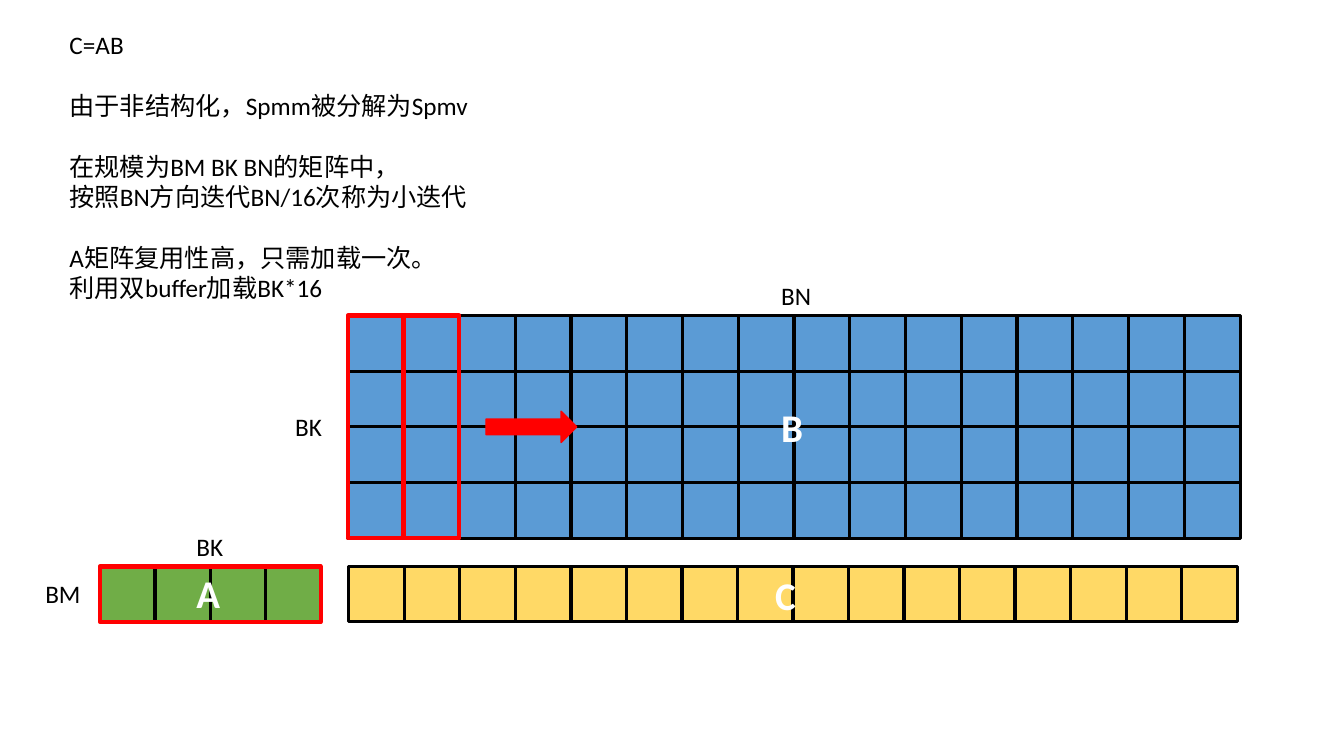
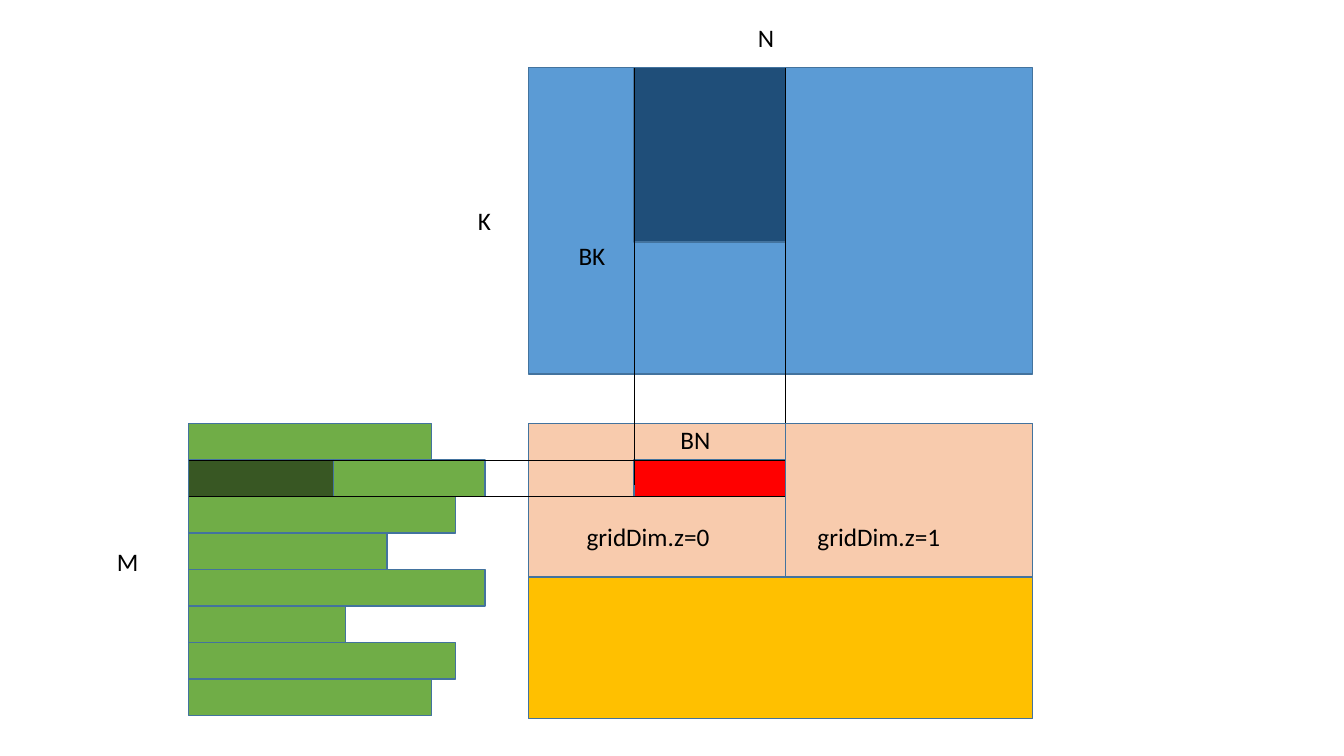
from dataclasses import dataclass
from typing import NamedTuple, Optional

import pptx
import pptx.dml.color
import pptx.enum.shapes
import pptx.oxml.ns
import pptx.presentation
import pptx.slide
import pptx.util
from lxml import etree

SHAPE = pptx.enum.shapes.MSO_SHAPE


@dataclass(frozen=True)
class Theme:
    font: str = "Calibri"
    body_size: float = 18
    name_size: float = 28
    black: str = "000000"
    white: str = "FFFFFF"
    red: str = "FF0000"
    green: str = "70AD47"
    dark_green: str = "385723"
    blue: str = "5B9BD5"
    dark_blue: str = "1F4E79"
    yellow: str = "FFD966"
    amber: str = "FFC000"
    peach: str = "F8CBAD"
    edge: str = "43739E"
    thin: float = 0.5
    normal: float = 1
    cell_line: float = 2.25
    frame_line: float = 3
    blank_line: float = 22


THEME = Theme()


class Box(NamedTuple):
    left: float
    top: float
    width: float
    height: float

    @property
    def right(self) -> float:
        return self.left + self.width

    @property
    def bottom(self) -> float:
        return self.top + self.height


@dataclass(frozen=True)
class Grid:
    """An area in inches, divided into equal columns and rows."""
    area: Box
    columns: int = 1
    rows: int = 1

    def span(self, column: float, row: float,
             columns: float = 1, rows: float = 1) -> Box:
        step_x = self.area.width / self.columns
        step_y = self.area.height / self.rows
        return Box(self.area.left + column * step_x, self.area.top + row * step_y,
                   columns * step_x, rows * step_y)


class Label(NamedTuple):
    """Text placed by percent of the slide's size."""
    text: str
    left: float
    top: float
    width: float
    is_name: bool = False


class Line(NamedTuple):
    text: str
    starts_block: bool = False


class Matrix(NamedTuple):
    grid: Grid
    fill: str


PAGE = Grid(Box(0, 0, 13.33, 7.5), 100, 100)


# Drawing helpers

def colour(value: str) -> pptx.dml.color.RGBColor:
    return pptx.dml.color.RGBColor.from_string(value)


def inches(*values: float) -> list[pptx.util.Length]:
    return [pptx.util.Inches(value) for value in values]


def draw_shape(shapes, box: Box, fill: Optional[str], line: str = THEME.edge,
               width: float = THEME.normal, kind: SHAPE = SHAPE.RECTANGLE) -> None:
    shape = shapes.add_shape(kind, *inches(*box))
    shape.shadow.inherit = False
    if fill is None:
        shape.fill.background()
    else:
        shape.fill.solid()
        shape.fill.fore_color.rgb = colour(fill)
    shape.line.color.rgb = colour(line)
    shape.line.width = pptx.util.Pt(width)


def draw_text(page: pptx.slide.Slide, box: Box, lines: list[Line],
              is_name: bool = False) -> None:
    frame = page.shapes.add_textbox(*inches(*box)).text_frame
    frame.word_wrap = True
    for index, line in enumerate(lines):
        para = frame.paragraphs[0] if index == 0 else frame.add_paragraph()
        para.text = line.text
        if line.starts_block:
            para.space_before = pptx.util.Pt(THEME.blank_line)
        para.font.name = THEME.font
        para.font.size = pptx.util.Pt(THEME.name_size if is_name else THEME.body_size)
        para.font.bold = is_name
        para.font.color.rgb = colour(THEME.white if is_name else THEME.black)


def draw_labels(page: pptx.slide.Slide, labels: list[Label]) -> None:
    for label in labels:
        height = 7.6 if label.is_name else 5.33
        box = PAGE.span(label.left, label.top, label.width, height)
        draw_text(page, box, [Line(label.text)], label.is_name)


def draw_guide(page: pptx.slide.Slide, x1: float, y1: float, x2: float, y2: float) -> None:
    guide = page.shapes.add_connector(
        pptx.enum.shapes.MSO_CONNECTOR.STRAIGHT, *inches(x1, y1, x2, y2))
    guide.line.color.rgb = colour(THEME.black)
    guide.line.width = pptx.util.Pt(THEME.thin)
    properties = guide.element.find(pptx.oxml.ns.qn("p:spPr"))
    etree.SubElement(properties, pptx.oxml.ns.qn("a:effectLst"))


def draw_matrix(page: pptx.slide.Slide, matrix: Matrix) -> None:
    group = page.shapes.add_group_shape()
    for column in range(matrix.grid.columns):
        for row in range(matrix.grid.rows):
            draw_shape(group.shapes, matrix.grid.span(column, row), matrix.fill,
                       THEME.black, THEME.cell_line)


def add_page(deck: pptx.presentation.Presentation) -> pptx.slide.Slide:
    return deck.slides.add_slide(deck.slide_layouts[6])


# Slide 1: small iterations along BN

def build_iteration_page(deck: pptx.presentation.Presentation) -> None:
    page = add_page(deck)
    a = Grid(Box(0.99, 5.62, 2.19, 0.55), columns=4)
    b = Grid(Box(3.45, 3.13, 8.85, 2.21), columns=16, rows=4)
    c = Grid(Box(3.46, 5.62, 8.81, 0.55), columns=16)
    for matrix in (Matrix(a, THEME.green), Matrix(b, THEME.blue), Matrix(c, THEME.yellow)):
        draw_matrix(page, matrix)

    draw_labels(page, [
        Label("BM", 2.63, 75.87, 4.8),
        Label("BK", 13.88, 69.6, 5.1),
        Label("BK", 21.23, 53.73, 4.65),
        Label("BN", 57.39, 36.4, 5.78),
        Label("A", 13.88, 74.67, 4.13, is_name=True),
        Label("B", 57.39, 52.67, 4.73, is_name=True),
        Label("C", 56.94, 74.93, 4.13, is_name=True),
    ])
    draw_text(page, PAGE.span(4.43, 3.2, 55.44, 37.73), [
        Line("C=AB"),
        Line("由于非结构化，Spmm被分解为Spmv", starts_block=True),
        Line("在规模为BM BK BN的矩阵中，", starts_block=True),
        Line("按照BN方向迭代BN/16次称为小迭代"),
        Line("A矩阵复用性高，只需加载一次。", starts_block=True),
        Line("利用双buffer加载BK*16"),
    ])

    # Loaded blocks and the direction of iteration
    for frame in (b.span(0, 0, 1, 4), b.span(1, 0, 1, 4), a.area):
        draw_shape(page.shapes, frame, None, THEME.red, THEME.frame_line)
    draw_shape(page.shapes, PAGE.span(36.16, 54.4, 6.75, 4.13), THEME.red, THEME.red,
               kind=SHAPE.RIGHT_ARROW)


# Slide 2: tiles of the whole product

def build_tiling_page(deck: pptx.presentation.Presentation) -> None:
    page = add_page(deck)
    a = Grid(Box(1.87, 4.2, 2.94, 2.9), rows=8)
    b = Grid(Box(5.24, 0.67, 5, 3.04))
    c = Grid(Box(5.24, 4.2, 5, 2.93))
    row_shares = (0.82, 1, 0.9, 0.67, 1, 0.53, 0.9, 0.82)
    tile_start, tile_share = 0.21, 0.3
    split = tile_start + tile_share
    zone_height = 0.52

    # Matrices, with the rows of A at their own lengths
    draw_shape(page.shapes, b.area, THEME.blue)
    draw_shape(page.shapes, c.area, THEME.amber)
    draw_shape(page.shapes, c.span(0, 0, split, zone_height), THEME.peach)
    for row, share in enumerate(row_shares):
        draw_shape(page.shapes, a.span(0, row, share), THEME.green)

    # The tile of each matrix
    a_tile = a.span(0, 1, 0.49)
    b_tile = b.span(tile_start, 0, tile_share, 0.57)
    c_tile = Box(b_tile.left, a_tile.top, b_tile.width, a_tile.height)
    for tile, fill in ((c_tile, THEME.red), (b_tile, THEME.dark_blue),
                       (a_tile, THEME.dark_green)):
        draw_shape(page.shapes, tile, fill)

    draw_labels(page, [
        Label("M", 7.95, 71.6, 8.1),
        Label("N", 55.66, 2.27, 8.1),
        Label("K", 34.81, 26.53, 8.1),
        Label("BN", 49.89, 55.47, 5.78),
        Label("BK", 42.31, 31.07, 4.8),
        Label("gridDim.z=0", 42.91, 68.27, 13.28),
    ])

    # Guides from the tiles of A and B to the tile of C
    guide_end = c.span(0, 0.21).top
    for x in (c_tile.left, c_tile.right):
        draw_guide(page, x, b_tile.top, x, guide_end)
    for y in (c_tile.top, c_tile.bottom):
        draw_guide(page, a_tile.left, y, c_tile.right, y)

    # The second zone lies over the guides
    draw_shape(page.shapes, c.span(split, 0, 1 - split, zone_height), THEME.peach)
    draw_labels(page, [Label("gridDim.z=1", 60.09, 68.27, 13.28)])


def main() -> None:
    deck = pptx.Presentation()
    deck.slide_width, deck.slide_height = inches(PAGE.area.width, PAGE.area.height)
    build_iteration_page(deck)
    build_tiling_page(deck)
    deck.save("out.pptx")


if __name__ == "__main__":
    main()
